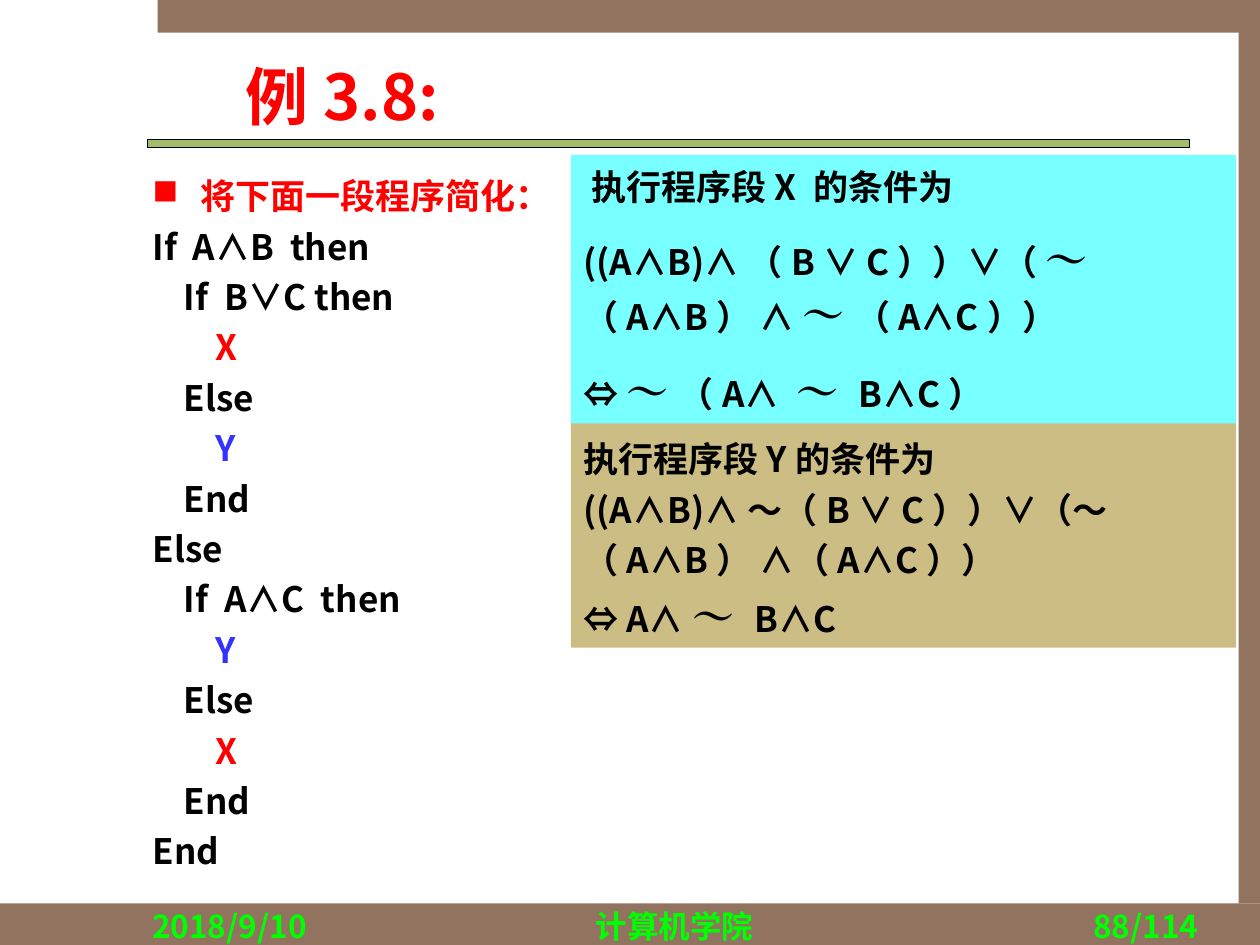
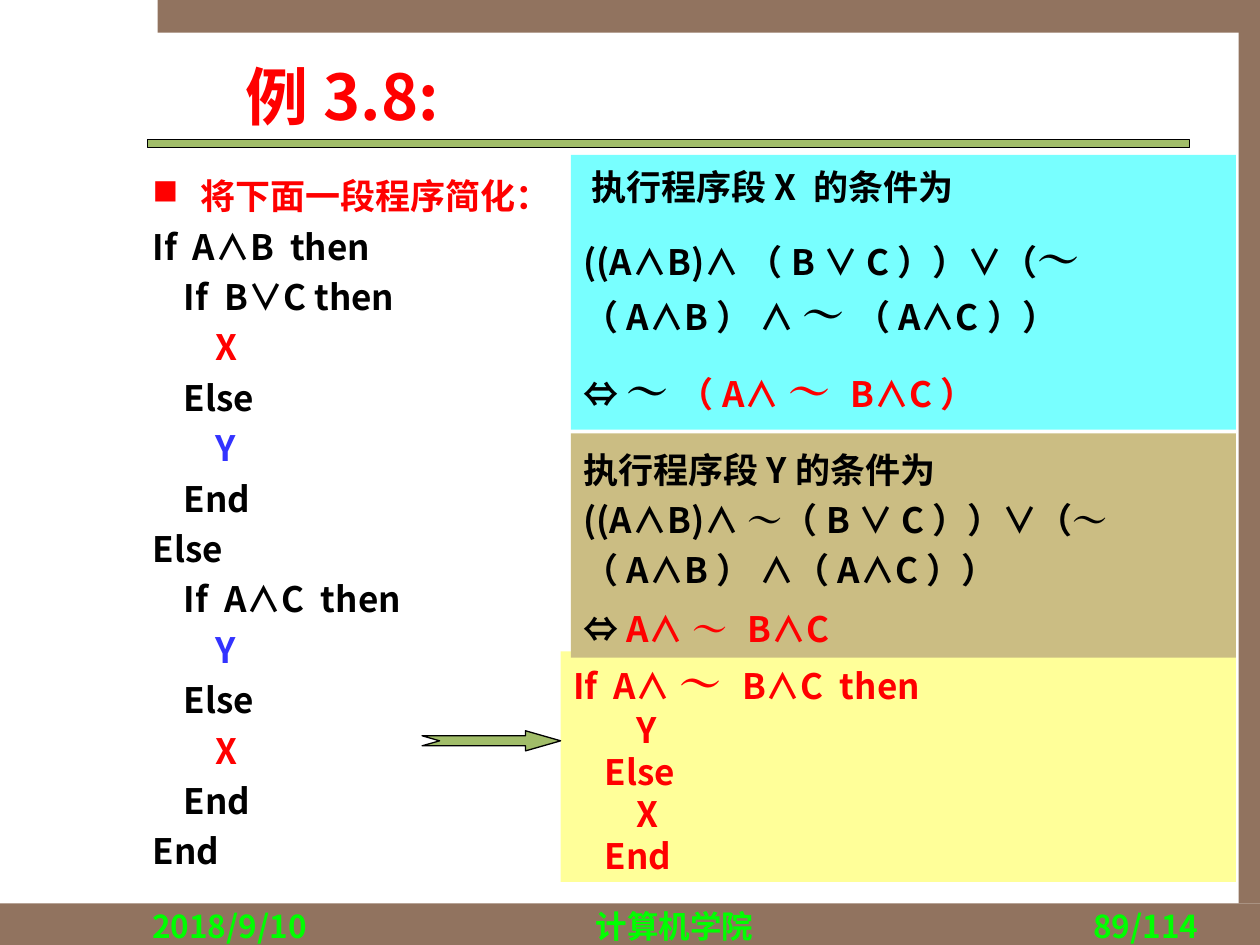
from lxml import etree
from pptx import Presentation
from pptx.dml.color import RGBColor
from pptx.enum.shapes import MSO_SHAPE
from pptx.enum.text import MSO_ANCHOR, MSO_AUTO_SIZE, PP_ALIGN
from pptx.oxml.ns import qn
from pptx.util import Inches, Pt

RECT, ARROW = MSO_SHAPE.RECTANGLE, MSO_SHAPE.NOTCHED_RIGHT_ARROW
LEFT, CENTER, RIGHT, JUSTIFY = (PP_ALIGN.LEFT, PP_ALIGN.CENTER,
                                PP_ALIGN.RIGHT, PP_ALIGN.JUSTIFY)
TOP, MIDDLE = MSO_ANCHOR.TOP, MSO_ANCHOR.MIDDLE
GROW = MSO_AUTO_SIZE.SHAPE_TO_FIT_TEXT

COLORS = {"black": "000000", "red": "FF0000", "blue": "3333FF",
          "footer": "00FF00", "band": "91735F", "green": "A1BD69",
          "cyan": "78FFFF", "tan": "CBBD83", "yellow": "FFFF99"}
SANS, SERIF = "Noto Sans CJK SC", "Times New Roman"

# Run styles: colour, size, font
STYLES = {"text": ("black", 20, SANS), "red": ("red", 20, SANS),
          "blue": ("blue", 20, SANS), "title": ("red", 36, SANS),
          "footer": ("footer", 18, SANS),
          "not": ("black", 24, SERIF), "not_red": ("red", 24, SERIF),
          "not_small": ("black", 20, SERIF),
          "not_small_red": ("red", 20, SERIF)}

# Content
TITLE = "例3.8:"
DATE, SCHOOL, TOTAL = "2018/9/10", "计算机学院", 114
TASK = "将下面一段程序简化："
PROGRAM = [  # indent level, text, style
    (0, "If  A∧B  then", "text"), (1, "If  B∨C then", "text"),
    (2, "X", "red"), (1, "Else", "text"), (2, "Y", "blue"),
    (1, "End", "text"), (0, "Else", "text"),
    (1, "If  A∧C  then", "text"), (2, "Y", "blue"),
    (1, "Else", "text"), (2, "X", "red"), (1, "End", "text"),
    (0, "End", "text")]
SIMPLIFIED = [
    (0, [("If  A∧", "red"), ("～ ", "not_red"), ("B∧C  then", "red")]),
    (2, [("Y", "red")]), (1, [("Else", "red")]),
    (2, [("X", "red")]), (1, [("End", "red")])]

X_HEAD = [(" 执行程序段X 的条件为", "text")]
X_TAIL = [("（A∧B） ∧ ", "text"), ("～ ", "not"), ("（A∧C））", "text")]
Y_HEAD = [("执行程序段Y的条件为", "text")]
EQUIV_NOT = [("⇔ ", "text"), ("～ ", "not")]
SLIDES = [
    {"page": 88, "y_top": 3.36, "simplified": None,
     "x": [X_HEAD,
           [("((A∧B)∧（B ∨ C））∨（ ", "text"), ("～ ", "not")] + X_TAIL,
           EQUIV_NOT + [("（A∧ ", "text"), ("～ ", "not"), ("B∧C）", "text")]],
     "y": [Y_HEAD,
           [("((A∧B)∧～（B ∨ C））∨（～（A∧B） ∧（A∧C））", "text")],
           [("⇔ A∧", "text"), ("～ ", "not"), ("B∧C", "text")]]},
    {"page": 89, "y_top": 3.44, "simplified": SIMPLIFIED,
     "x": [X_HEAD,
           [("((A∧B)∧（B ∨ C））∨（", "text"), ("～", "not")] + X_TAIL,
           EQUIV_NOT + [("（A∧", "red"), ("～ ", "not_red"), ("B∧C）", "red")]],
     "y": [Y_HEAD,
           [("((A∧B)∧", "text"), ("～", "not_small"),
            ("（B ∨ C））∨（", "text"), ("～", "not_small"),
            ("（A∧B） ∧（A∧C））", "text")],
           [("⇔ ", "text"), ("A∧", "red"), ("～", "not_small_red"),
            (" ", "not"), ("B∧C", "red")]]},
]

# Layout
BANDS = [(0, 7.17, 10, 0.33), (1.25, 0, 8.75, 0.26), (9.83, 0.25, 0.17, 6.92)]
RULE = (1.17, 1.11, 8.27, 0.06)
LEVEL = 0.25      # indent of one program level
HANG = 0.38       # hanging indent of the bullet
COND_LEFT, COND_WIDTH = 4.53, 5.28


def rgb(name):
    return RGBColor.from_string(COLORS[name])


def add_shape(slide, kind, box, fill, outlined=False):
    sp = slide.shapes.add_shape(kind, *map(Inches, box))
    sp.shadow.inherit = False
    sp.fill.solid()
    sp.fill.fore_color.rgb = rgb(fill)
    if outlined:
        sp.line.color.rgb = rgb("black")
        sp.line.width = Pt(0.75)
    else:
        sp.line.fill.background()
    return sp


def frame(sp, anchor=TOP, grow=False):
    tf = sp.text_frame
    tf.word_wrap = True
    tf.vertical_anchor = anchor
    if grow:
        tf.auto_size = GROW
    return tf


def add_text_box(slide, box, **options):
    return frame(slide.shapes.add_textbox(*map(Inches, box)), **options)


def write(tf, paragraphs, align=LEFT, spacing=1.0, gap=0):
    """Fill a frame with paragraphs given as (level, runs)."""
    for i, (level, runs) in enumerate(paragraphs):
        p = tf.add_paragraph() if i else tf.paragraphs[0]
        p.alignment = align
        p.line_spacing = spacing
        p.space_before = Pt(gap if i else 0)
        if level:
            p._p.get_or_add_pPr().set("marL", str(Inches(level * LEVEL)))
        for text, style in runs:
            color, size, font = STYLES[style]
            r = p.add_run()
            r.text = text
            r.font.size, r.font.bold, r.font.name = Pt(size), True, font
            r.font.color.rgb = rgb(color)
            ea = etree.SubElement(r._r.get_or_add_rPr(), qn("a:ea"))
            ea.set("typeface", font)


def add_bullet(p):
    pPr = p._p.get_or_add_pPr()
    pPr.set("marL", str(Inches(HANG)))
    pPr.set("indent", str(-Inches(HANG)))
    color = etree.SubElement(pPr, qn("a:buClr"))
    etree.SubElement(color, qn("a:srgbClr")).set("val", COLORS["red"])
    etree.SubElement(pPr, qn("a:buChar")).set("char", "■")


def add_frame_parts(slide, page):
    """Bands, rule, footers and title shared by all slides."""
    for box in BANDS:
        add_shape(slide, RECT, box, "band")
    add_shape(slide, RECT, RULE, "green", outlined=True)
    for left, width, text, align in [(1.11, 2.08, DATE, LEFT),
                                     (3.19, 4.33, SCHOOL, CENTER),
                                     (7.53, 2.08, f"{page}/{TOTAL}", RIGHT)]:
        tf = add_text_box(slide, (left, 7.15, width, 0.18))
        write(tf, [(0, [(text, "footer")])], align)
    tf = add_text_box(slide, (1.85, 0.36, 7.7, 0.79), anchor=MIDDLE)
    write(tf, [(0, [(TITLE, "title")])])


def add_program(slide):
    tf = add_text_box(slide, (1.17, 1.28, 3.28, 5.67), grow=True)
    tf.margin_left = tf.margin_right = Inches(0.04)
    tf.margin_top = tf.margin_bottom = Inches(0.04)
    lines = [(0, [(TASK, "red")])]
    lines += [(level, [(text, style)]) for level, text, style in PROGRAM]
    write(tf, lines, JUSTIFY, 1.2)
    add_bullet(tf.paragraphs[0])


def add_condition(slide, top, height, fill, lines, spacing, gap=0):
    sp = add_shape(slide, RECT, (COND_LEFT, top, COND_WIDTH, height), fill)
    write(frame(sp, grow=True), [(0, runs) for runs in lines],
          spacing=spacing, gap=gap)


def add_simplified(slide, lines):
    sp = add_shape(slide, RECT, (4.45, 5.17, 5.36, 1.83), "yellow")
    write(frame(sp, grow=True), lines)
    arrow = add_shape(slide, ARROW, (3.35, 5.8, 1.1, 0.16), "green",
                      outlined=True)
    arrow.adjustments[0], arrow.adjustments[1] = 0.5, 1.745


prs = Presentation()
prs.slide_width, prs.slide_height = Inches(10), Inches(7.5)
for content in SLIDES:
    slide = prs.slides.add_slide(prs.slide_layouts[6])
    add_frame_parts(slide, content["page"])
    add_program(slide)
    add_condition(slide, 1.23, 2.18, "cyan", content["x"], 1.1, gap=12)
    if content["simplified"]:
        add_simplified(slide, content["simplified"])
    add_condition(slide, content["y_top"], 1.78, "tan", content["y"], 1.2)
prs.save("out.pptx")
